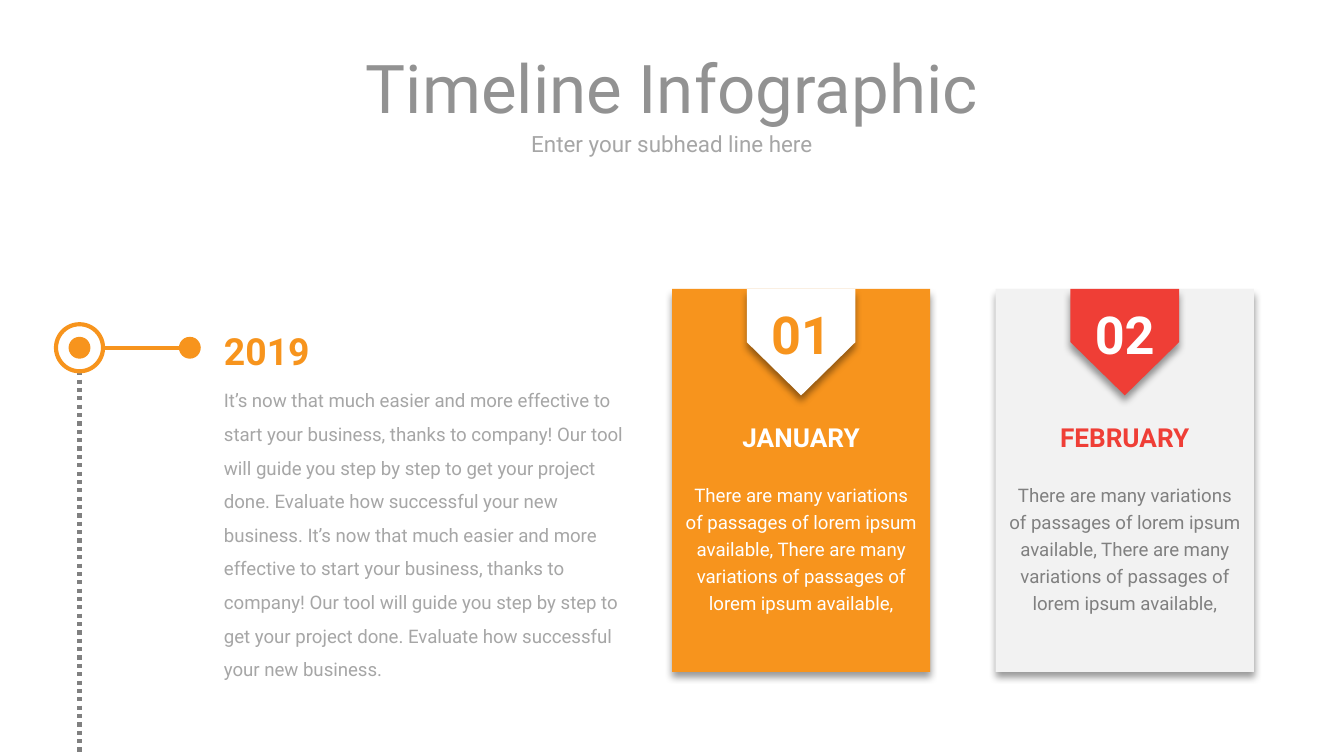
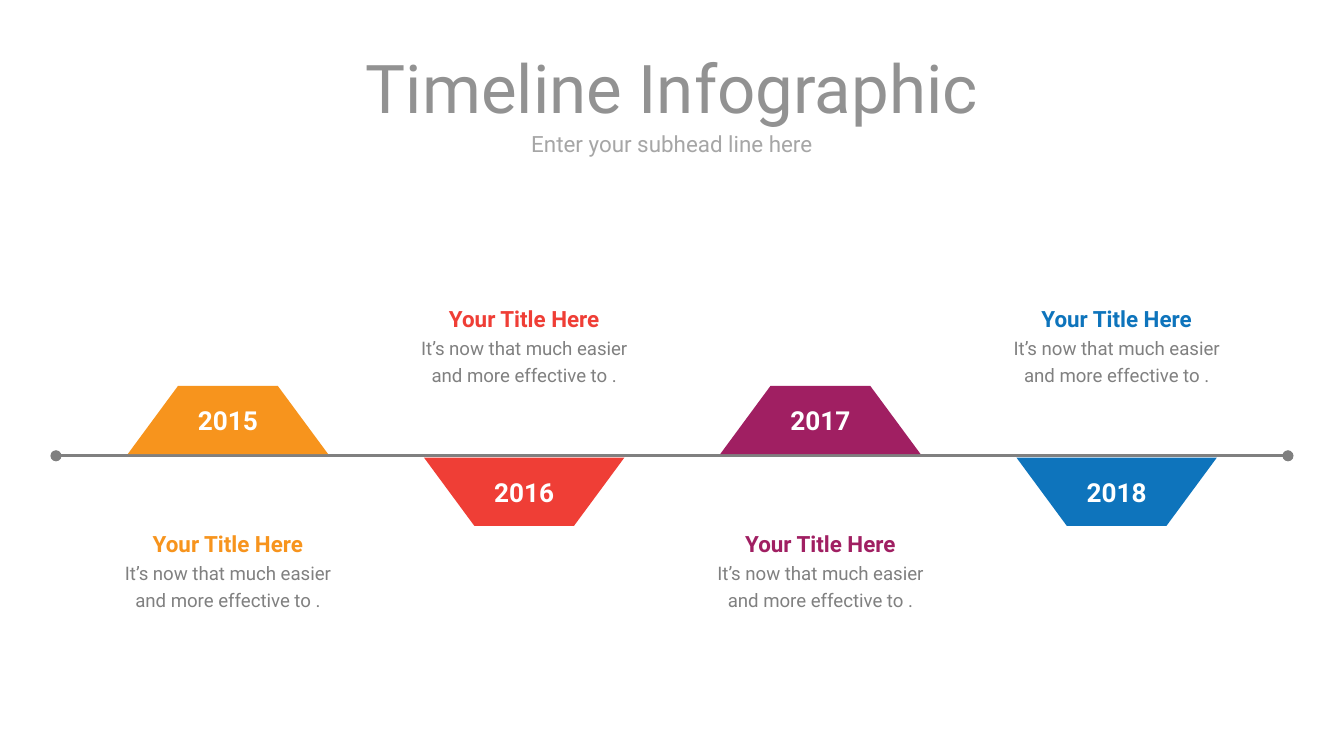
from dataclasses import dataclass

from lxml import etree
from pptx import Presentation
from pptx import util as u
from pptx.dml.color import RGBColor
from pptx.enum import dml, shapes, text
from pptx.oxml.ns import qn

# Shared look: a grid of 24 columns by 13.5 rows with square cells
CELL = u.Inches(10) // 24
COLUMNS, ROWS = 24, 13.5
FONT = "Roboto"
COLORS = {
    "white": "FFFFFF", "panel": "F2F2F2", "title": "929292", "soft": "A6A6A6",
    "gray": "808080", "orange": "F7941D", "red": "EF3E36", "purple": "A01F62",
    "blue": "0E74BC", "shadow": "000000",
}
LEFT, CENTER = text.PP_ALIGN.LEFT, text.PP_ALIGN.CENTER
TOP, MIDDLE = text.MSO_ANCHOR.TOP, text.MSO_ANCHOR.MIDDLE
OVAL, RECT = shapes.MSO_SHAPE.OVAL, shapes.MSO_SHAPE.RECTANGLE
PENTAGON = shapes.MSO_SHAPE.PENTAGON


@dataclass(frozen=True)
class Card:
    number: str
    month: str
    fill: str
    accent: str
    heading: str
    number_color: str
    body: str


@dataclass(frozen=True)
class Milestone:
    year: str
    color: str
    above: bool


SENTENCE = ("It’s now that much easier and more effective to start your business, "
            "thanks to company! Our tool will guide you step by step to get your project "
            "done. Evaluate how successful your new business.")
YEAR_STORY = f"{SENTENCE} {SENTENCE}"
CARD_STORY = ("There are many variations of passages of lorem ipsum available, "
              "There are many variations of passages of lorem ipsum available,")
CARDS = [
    Card("01", "JANUARY", "orange", "white", "white", "orange", "white"),
    Card("02", "FEBRUARY", "panel", "red", "red", "white", "gray"),
]
MILESTONES = [
    Milestone("2015", "orange", True),
    Milestone("2016", "red", False),
    Milestone("2017", "purple", True),
    Milestone("2018", "blue", False),
]


def grid(cells: float) -> int:
    return round(cells * CELL)


def rgb(name: str) -> RGBColor:
    return RGBColor.from_string(COLORS[name])


# Text
def set_frame(box, anchor=MIDDLE, inset=(0, 0), wrap=True,
              fit=text.MSO_AUTO_SIZE.NONE) -> None:
    frame = box.text_frame
    frame.auto_size = fit
    frame.word_wrap = wrap
    frame.vertical_anchor = anchor
    frame.margin_left = frame.margin_right = u.Inches(inset[0])
    frame.margin_top = frame.margin_bottom = u.Inches(inset[1])


def write(box, words: str, *, size: float, color: str, bold=False, align=CENTER,
          spacing=1.0, more=False) -> None:
    frame = box.text_frame
    para = frame.add_paragraph() if more else frame.paragraphs[0]
    para.alignment = align
    para.line_spacing = spacing
    para.space_before = u.Pt(0)
    span = para.add_run()
    span.text = words
    span.font.name = FONT
    span.font.size = u.Pt(size)
    span.font.bold = bold
    span.font.color.rgb = rgb(color)


def add_text(page, left: float, top: float, width: float, height: float,
             anchor=MIDDLE, inset=(0, 0)):
    box = page.shapes.add_textbox(*map(grid, (left, top, width, height)))
    set_frame(box, anchor, inset, fit=text.MSO_AUTO_SIZE.SHAPE_TO_FIT_TEXT)
    return box


# Shapes and lines
def paint(shape, fill: str, outline: str | None = None) -> None:
    shape.shadow.inherit = False
    shape.fill.solid()
    shape.fill.fore_color.rgb = rgb(fill)
    if outline:
        shape.line.color.rgb = rgb(outline)
        shape.line.width = u.Pt(2.25)
    else:
        shape.line.fill.background()


def add_centered(page, kind, x: float, y: float, width: float, height: float,
                 fill: str, outline: str | None = None):
    shape = page.shapes.add_shape(
        kind, *map(grid, (x - width / 2, y - height / 2, width, height)))
    paint(shape, fill, outline)
    return shape


def drop_shadow(shape) -> None:
    effects = shape._element.spPr.find(qn("a:effectLst"))
    shadow = etree.SubElement(effects, qn("a:outerShdw"), blurRad=str(u.Pt(4)),
                              dist=str(u.Pt(3)), dir="5400000", algn="t",
                              rotWithShape="0")
    color = etree.SubElement(shadow, qn("a:srgbClr"), val=COLORS["shadow"])
    etree.SubElement(color, qn("a:alpha"), val="40000")


def add_line(page, start: tuple, end: tuple, color: str, width=2.25,
             dash=None, ends: str | None = None) -> None:
    line = page.shapes.add_connector(shapes.MSO_CONNECTOR.STRAIGHT,
                                     *map(grid, start + end))
    line.line.color.rgb = rgb(color)
    line.line.width = u.Pt(width)
    if dash:
        line.line.dash_style = dash
    if ends:
        for tag in ("a:headEnd", "a:tailEnd"):
            etree.SubElement(line.line._get_or_add_ln(), qn(tag), type=ends)
    etree.SubElement(line._element.spPr, qn("a:effectLst"))


# Header shared by both slides
def place(box, left: float, top: float, width: float, height: float) -> None:
    box.left, box.top, box.width, box.height = map(grid, (left, top, width, height))


def add_page(deck):
    page = deck.slides.add_slide(deck.slide_layouts[1])
    title, subhead = page.shapes.title, page.placeholders[1]
    place(title, 1, 0.89, COLUMNS - 2, 1.3)
    set_frame(title)
    write(title, "Timeline Infographic", size=36, color="title")
    place(subhead, 1, 2.33, COLUMNS - 2, 0.46)
    set_frame(subhead, wrap=False)
    props = subhead.text_frame.paragraphs[0]._p.get_or_add_pPr()
    props.set("marL", "0")
    props.set("indent", "0")
    etree.SubElement(props, qn("a:buNone"))
    write(subhead, "Enter your subhead line here", size=12, color="soft")
    return page


# Slide 1: year marker and month cards
def draw_year(page) -> None:
    x, y, ring, dot, far = 1.42, 6.21, 0.84, 0.39, 3.39
    add_line(page, (x, y + ring / 2), (x, ROWS), "gray",
             dash=dml.MSO_LINE.ROUND_DOT)
    add_line(page, (x + ring / 2, y), (far - dot / 2, y), "orange")
    add_centered(page, OVAL, x, y, ring, ring, "white", "orange")
    for center in (x, far):
        add_centered(page, OVAL, center, y, dot, dot, "orange")
    year = add_text(page, 4, 5.71, 7.2, 0.96)
    write(year, "2019", size=20, color="orange", bold=True, align=LEFT, spacing=1.2)
    story = add_text(page, 4, 6.63, 7.2, 5.62, TOP, (0, 0.05))
    write(story, YEAR_STORY, size=10, color="soft", align=LEFT, spacing=1.5)


def draw_card(page, card: Card, left: float) -> None:
    top, width, height = 5.16, 4.61, 6.84
    length, breadth = 1.9, 1.94
    center = left + width / 2
    panel = add_centered(page, RECT, center, top + height / 2, width, height, card.fill)
    pennant = add_centered(page, PENTAGON, center, top + length / 2,
                           length, breadth, card.accent)
    pennant.rotation = 90
    for shape in (panel, pennant):
        drop_shadow(shape)
    number = add_text(page, center - 0.83, 5.4, 1.66, 1.13, inset=(0.1, 0))
    write(number, card.number, size=28, color=card.number_color, bold=True)
    month = add_text(page, center - 1.73, 7.51, 3.46, 0.58, inset=(0.1, 0))
    write(month, card.month, size=14, color=card.heading, bold=True)
    story = add_text(page, left, 8.45, width, 3.12, TOP, (0.1, 0.05))
    write(story, CARD_STORY, size=10, color=card.body, spacing=1.2)


# Slide 2: milestones on alternating sides of an axis
def draw_milestone(page, milestone: Milestone, center: float, axis: float) -> None:
    half, slant, height, gap = 1.79, 0.9, 1.22, 0.03
    side = -1 if milestone.above else 1
    base, tip = axis + side * gap, axis + side * (gap + height)
    corners = [(center - half, base), (center + half, base),
               (center + half - slant, tip), (center - half + slant, tip)]
    points = [(grid(x), grid(y)) for x, y in corners]
    builder = page.shapes.build_freeform(*points[0])
    builder.add_line_segments(points[1:], close=True)
    flag = builder.convert_to_shape()
    paint(flag, milestone.color)
    set_frame(flag, inset=(0.07, 0.04))
    write(flag, milestone.year, size=14, color="white", bold=True)
    label = add_text(page, center - 2.1, 9.36 if milestone.above else 5.35, 4.2, 1.56)
    write(label, "Your Title Here", size=12, color=milestone.color, bold=True,
          spacing=1.2)
    write(label, "It’s now that much easier and more effective to .", size=10,
          color="gray", spacing=1.2, more=True)


def main() -> None:
    deck = Presentation()
    deck.slide_width, deck.slide_height = grid(COLUMNS), grid(ROWS)

    page = add_page(deck)
    draw_year(page)
    for index, card in enumerate(CARDS):
        draw_card(page, card, 12 + 5.78 * index)

    page = add_page(deck)
    axis = 8.14
    add_line(page, (1, axis), (COLUMNS - 1, axis), "gray", 1.5, ends="oval")
    for index, milestone in enumerate(MILESTONES):
        draw_milestone(page, milestone, 4.07 + 5.29 * index, axis)

    deck.save("out.pptx")


if __name__ == "__main__":
    main()
